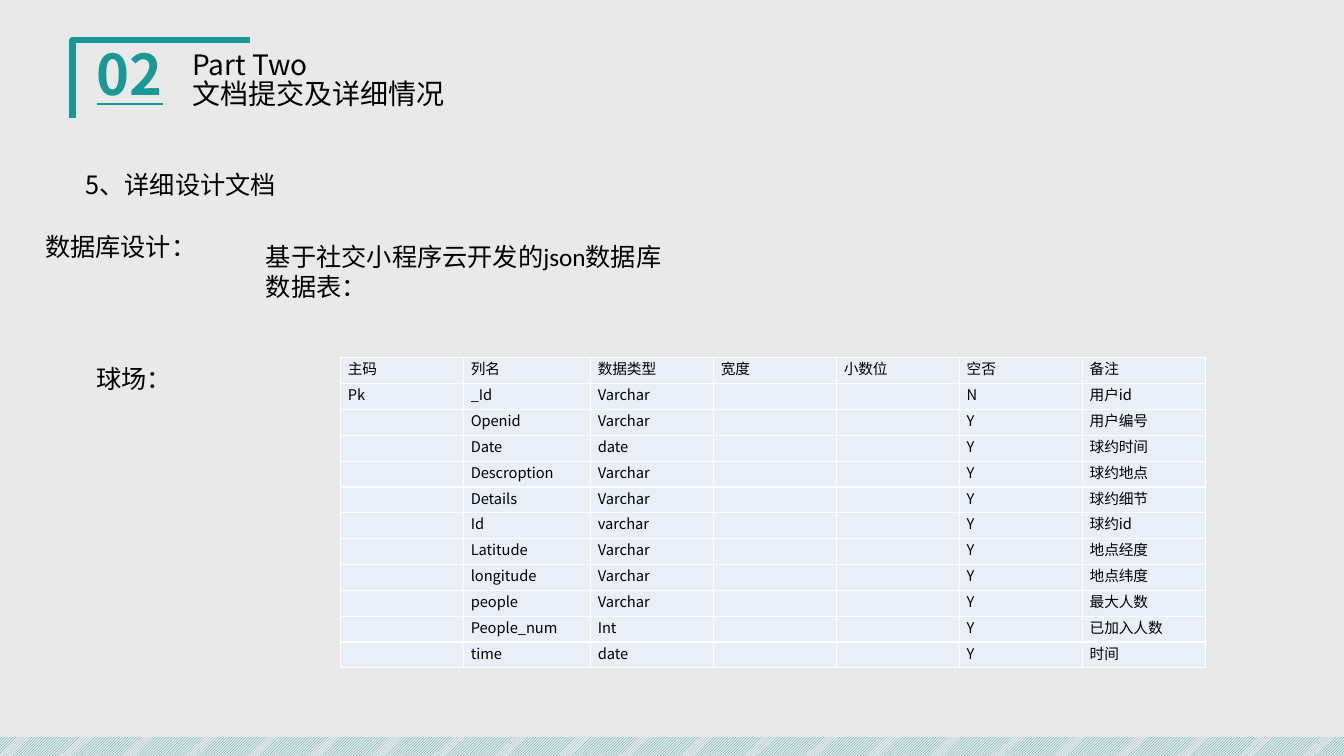
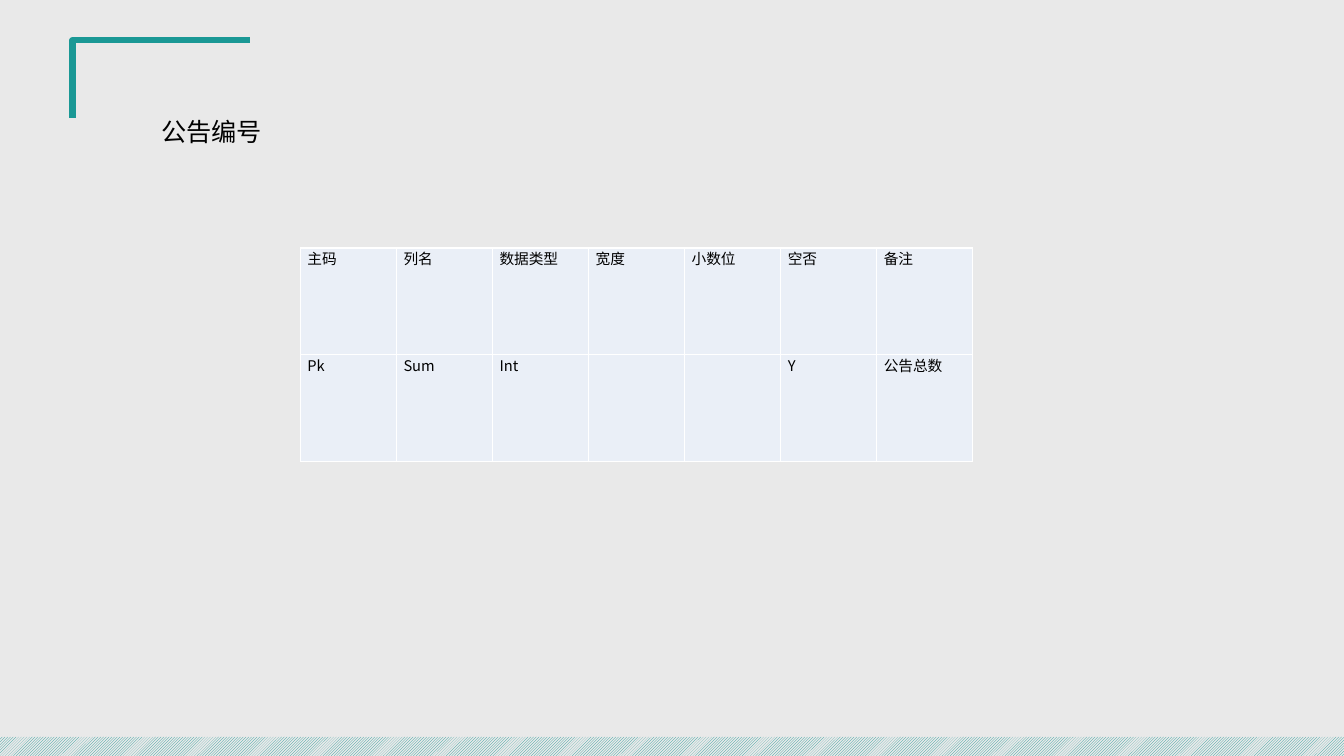
from lxml import etree
from pptx import Presentation
from pptx.dml.color import RGBColor
from pptx.enum.dml import MSO_PATTERN
from pptx.enum.shapes import MSO_SHAPE
from pptx.enum.text import MSO_ANCHOR, MSO_AUTO_SIZE, PP_ALIGN
from pptx.oxml.ns import qn
from pptx.util import Inches, Pt

TEAL = RGBColor(0x1A, 0x98, 0x95)
GREY = RGBColor(0xE9, 0xE9, 0xE9)
PALE = RGBColor(0xEA, 0xEF, 0xF7)
BLACK = RGBColor(0, 0, 0)
WHITE = RGBColor(0xFF, 0xFF, 0xFF)
SANS = "Noto Sans CJK SC"
LATIN = "Calibri"
TIGHT = 0.86
RECT = MSO_SHAPE.RECTANGLE
HATCH = MSO_PATTERN.LIGHT_UPWARD_DIAGONAL
TOP, MIDDLE = MSO_ANCHOR.TOP, MSO_ANCHOR.MIDDLE
GROW = MSO_AUTO_SIZE.SHAPE_TO_FIT_TEXT
LEFT, JUST = PP_ALIGN.LEFT, PP_ALIGN.JUSTIFY

HEAD = ["主码", "列名", "数据类型", "宽度", "小数位", "空否", "备注"]
FIELDS = [
    ("Pk", "_Id", "Varchar", "N", "用户id"),
    ("", "Openid", "Varchar", "Y", "用户编号"),
    ("", "Date", "date", "Y", "球约时间"),
    ("", "Descroption", "Varchar", "Y", "球约地点"),
    ("", "Details", "Varchar", "Y", "球约细节"),
    ("", "Id", "varchar", "Y", "球约id"),
    ("", "Latitude", "Varchar", "Y", "地点经度"),
    ("", "longitude", "Varchar", "Y", "地点纬度"),
    ("", "people", "Varchar", "Y", "最大人数"),
    ("", "People_num", "Int", "Y", "已加入人数"),
    ("", "time", "date", "Y", "时间"),
]
NOTICE = [("Pk", "Sum", "Int", "Y", "公告总数")]


class Deck:
    """Hold the shared style and the current slide."""

    def __init__(self):
        """Start a wide deck with a grey master."""
        self.prs = Presentation()
        self.prs.slide_width = Inches(13.33)
        self.prs.slide_height = Inches(7.5)
        fill = self.prs.slide_master.background.fill
        fill.solid()
        fill.fore_color.rgb = GREY
        self.slide = None

    def page(self):
        """Add a slide with its corner mark and foot band."""
        self.slide = self.prs.slides.add_slide(self.prs.slide_layouts[5])
        self.mark()
        self.band()

    def mark(self):
        """Draw the open corner at top left."""
        pen = self.slide.shapes.build_freeform(Inches(0.72), Inches(1.17))
        ends = [(0.72, 0.4), (2.48, 0.4)]
        pen.add_line_segments([(Inches(x), Inches(y)) for x, y in ends], close=False)
        mark = pen.convert_to_shape()
        mark.shadow.inherit = False
        mark.fill.background()
        mark.line.color.rgb = TEAL
        mark.line.width = Pt(4.5)

    def band(self):
        """Draw the hatched band along the foot."""
        band = self.slide.shapes.add_shape(
            RECT, 0, Inches(7.31), self.prs.slide_width, Inches(0.19))
        band.shadow.inherit = False
        band.fill.patterned()
        band.fill.pattern = HATCH
        band.fill.fore_color.rgb = TEAL
        band.fill.back_color.rgb = GREY
        band.line.fill.background()

    def style(self, para, size, face=SANS, color=BLACK, align=LEFT):
        """Set the font and alignment of a paragraph."""
        para.alignment = align
        font = para.font
        font.size = Pt(size)
        font.name = face
        font.color.rgb = color
        base = para._p.pPr.find(qn("a:defRPr"))
        etree.SubElement(base, qn("a:ea"), typeface=face)

    def fill(self, shape, lines, size, face=SANS, color=BLACK, align=LEFT, anchor=TOP):
        """Fill a text shape with one paragraph per line."""
        frame = shape.text_frame
        frame.word_wrap = True
        frame.auto_size = GROW
        frame.vertical_anchor = anchor
        frame.text = "\n".join(lines)
        for para in frame.paragraphs:
            if face == SANS:
                para.line_spacing = TIGHT
            self.style(para, size, face, color, align)

    def title(self, lines, left, top, width, height, size):
        """Move and fill the title placeholder."""
        shape = self.slide.shapes.title
        shape.left, shape.top = Inches(left), Inches(top)
        shape.width, shape.height = Inches(width), Inches(height)
        self.fill(shape, lines, size)

    def text(self, lines, left, top, width, height=0.4, size=18, **look):
        """Add a text box and return it."""
        box = self.slide.shapes.add_textbox(
            Inches(left), Inches(top), Inches(width), Inches(height))
        self.fill(box, lines, size, **look)
        return box

    def number(self, label):
        """Add the bold underlined part number."""
        box = self.text([label], 0.86, 0.44, 0.95, 0.77, 40, color=TEAL)
        font = box.text_frame.paragraphs[0].font
        font.bold = True
        font.underline = True

    def cell(self, cell, label):
        """Fill one table cell and draw its borders."""
        cell.margin_left = cell.margin_right = Inches(0.07)
        cell.margin_top = cell.margin_bottom = 0
        cell.text = label
        para = cell.text_frame.paragraphs[0]
        self.style(para, 10.5, align=JUST)
        if not label:
            etree.SubElement(para._p, qn("a:endParaRPr"), sz="1050")
        props = cell._tc.get_or_add_tcPr()
        for side in ("lnL", "lnR", "lnT", "lnB"):
            line = etree.SubElement(props, qn(f"a:{side}"), w=str(Pt(1)))
            fill = etree.SubElement(line, qn("a:solidFill"))
            etree.SubElement(fill, qn("a:srgbClr"), val=str(WHITE))
        cell.fill.solid()
        cell.fill.fore_color.rgb = PALE

    def table(self, fields, left, top, widths, height):
        """Add a field table whose width and decimal columns are empty."""
        rows = [HEAD] + [[*field[:3], "", "", *field[3:]] for field in fields]
        grid = self.slide.shapes.add_table(
            len(rows), len(HEAD), Inches(left), Inches(top),
            Inches(sum(widths)), Inches(height)).table
        grid.first_row = grid.horz_banding = False
        for col, width in zip(grid.columns, widths):
            col.width = Inches(width)
        for row, labels in zip(grid.rows, rows):
            row.height = Inches(height / len(rows))
            for cell, label in zip(row.cells, labels):
                self.cell(cell, label)


def main():
    """Build both slides and save the deck."""
    deck = Deck()

    deck.page()
    deck.number("02")
    deck.title(["Part Two", "文档提交及详细情况"], 1.81, 0.47, 5.13, 0.77, 20)
    deck.text(["5、详细设计文档"], 0.75, 1.67, 5.12)
    deck.text(["数据库设计："], 0.35, 2.29, 2.53)
    deck.text(["基于社交小程序云开发的json数据库", "数据表："],
              2.54, 2.34, 6.67, 0.71, face=LATIN, align=JUST)
    deck.text(["球场："], 0.86, 3.55, 2, face=LATIN, anchor=MIDDLE)
    deck.table(FIELDS, 3.38, 3.55, [1.22, 1.26] + [1.22] * 5, 3.08)

    deck.page()
    deck.title(["公告编号"], 1.5, 1.15, 2.61, 0.4, 18)
    deck.table(NOTICE, 2.98, 2.46, [6.67 / len(HEAD)] * len(HEAD), 2.12)

    deck.prs.save("out.pptx")


if __name__ == "__main__":
    main()
